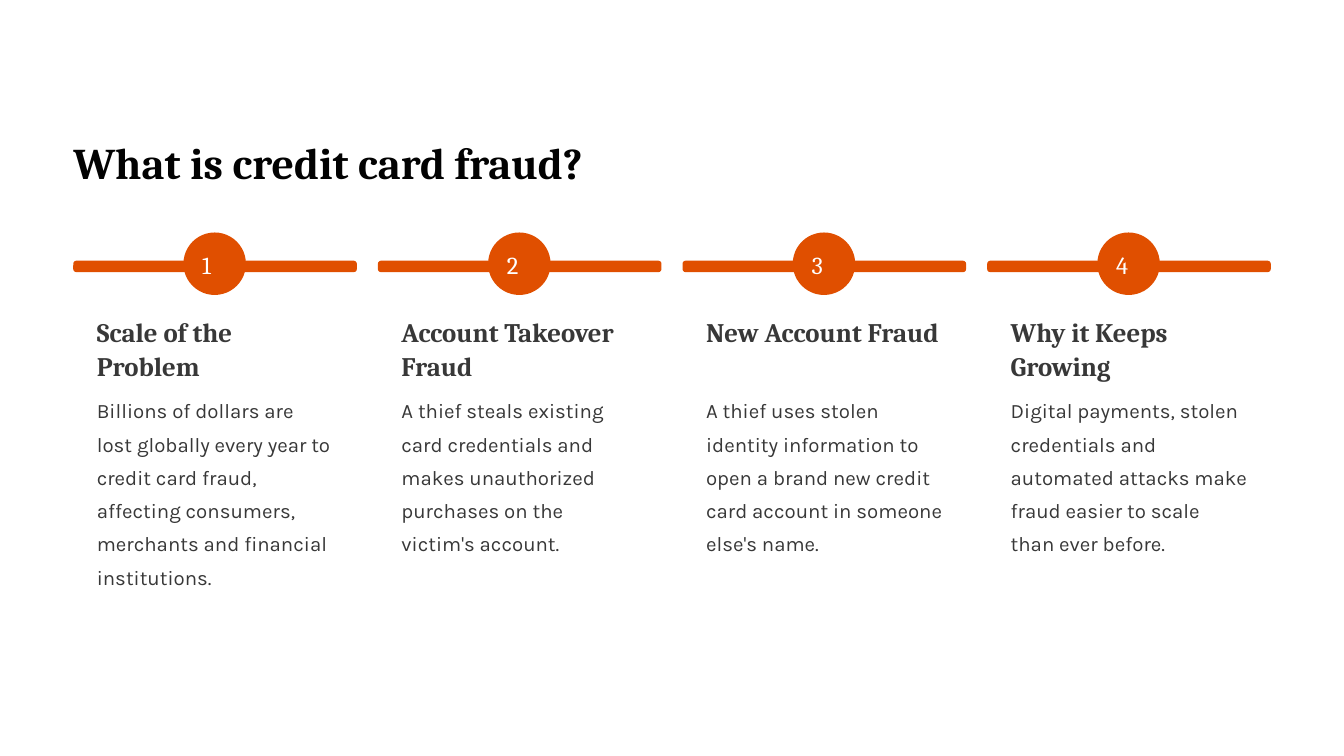
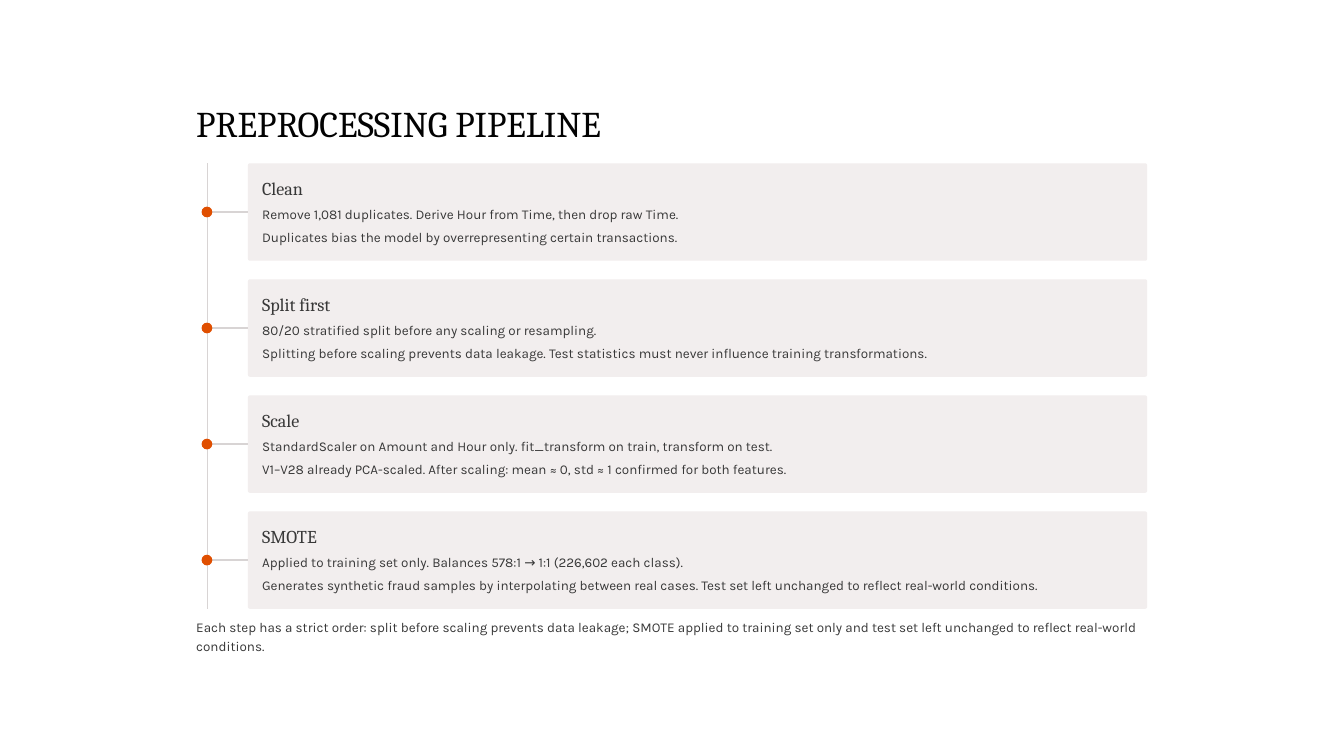
from lxml import etree
from pptx import Presentation
from pptx.dml.color import RGBColor
from pptx.enum.shapes import MSO_CONNECTOR, MSO_SHAPE
from pptx.enum.text import MSO_ANCHOR, MSO_AUTO_SIZE, PP_ALIGN
from pptx.oxml.ns import qn
from pptx.util import Inches, Pt

STRAIGHT = MSO_CONNECTOR.STRAIGHT
OVAL = MSO_SHAPE.OVAL
ROUNDED = MSO_SHAPE.ROUNDED_RECTANGLE
TOP = MSO_ANCHOR.TOP
NO_AUTOFIT = MSO_AUTO_SIZE.NONE
LEFT = PP_ALIGN.LEFT

WHITE = RGBColor(0xFF, 0xFF, 0xFF)
BLACK = RGBColor(0x02, 0x02, 0x02)
DARK_GRAY = RGBColor(0x38, 0x38, 0x38)
LINE_GRAY = RGBColor(0xD8, 0xD4, 0xD4)
CARD_GRAY = RGBColor(0xF2, 0xEE, 0xEE)
ORANGE = RGBColor(0xE0, 0x4F, 0x00)

SERIF = "Cambria"
SANS = "Karla"

FRAUD_TOPICS = [
    ("Scale of the Problem",
     "Billions of dollars are lost globally every year to credit card fraud, "
     "affecting consumers, merchants and financial institutions."),
    ("Account Takeover Fraud",
     "A thief steals existing card credentials and makes unauthorized "
     "purchases on the victim's account."),
    ("New Account Fraud",
     "A thief uses stolen identity information to open a brand new credit "
     "card account in someone else's name."),
    ("Why it Keeps Growing",
     "Digital payments, stolen credentials and automated attacks make fraud "
     "easier to scale than ever before."),
]

PIPELINE_STEPS = [
    ("Clean",
     "Remove 1,081 duplicates. Derive Hour from Time, then drop raw Time.",
     "Duplicates bias the model by overrepresenting certain transactions."),
    ("Split first",
     "80/20 stratified split before any scaling or resampling.",
     "Splitting before scaling prevents data leakage. Test statistics must "
     "never influence training transformations."),
    ("Scale",
     "StandardScaler on Amount and Hour only. fit_transform on train, "
     "transform on test.",
     "V1–V28 already PCA-scaled. After scaling: mean ≈ 0, std ≈ 1 confirmed "
     "for both features."),
    ("SMOTE",
     "Applied to training set only. Balances 578:1 → 1:1 (226,602 each class).",
     "Generates synthetic fraud samples by interpolating between real cases. "
     "Test set left unchanged to reflect real-world conditions."),
]

PIPELINE_NOTE = (
    "Each step has a strict order: split before scaling prevents data leakage; "
    "SMOTE applied to training set only and test set left unchanged to reflect "
    "real-world conditions.")


def spread(start, span, size, count):
    """Return the starts of equal items that fill a span with equal gaps."""
    pitch = (span - size) / (count - 1)
    return [start + index * pitch for index in range(count)]


def write_text(shape, text, *, size, spacing, font=SANS, color=DARK_GRAY, bold=False):
    """Fill a shape with one formatted paragraph without insets."""
    frame = shape.text_frame
    frame.word_wrap = True
    frame.auto_size = NO_AUTOFIT
    frame.vertical_anchor = TOP
    frame.margin_left = frame.margin_right = 0
    frame.margin_top = frame.margin_bottom = 0
    frame.text = text
    paragraph = frame.paragraphs[0]
    paragraph.alignment = LEFT
    paragraph.line_spacing = Pt(spacing)
    run_font = paragraph.runs[0].font
    run_font.name = font
    run_font.size = Pt(size)
    run_font.bold = bold
    run_font.color.rgb = color


def add_text(slide, text, left, top, width, height, **text_format):
    """Add a text box with formatted text."""
    box = slide.shapes.add_textbox(
        Inches(left), Inches(top), Inches(width), Inches(height))
    write_text(box, text, **text_format)


def add_titled_slide(presentation, text, left, top, width, height, **text_format):
    """Add a slide whose title placeholder is placed and formatted."""
    slide = presentation.slides.add_slide(presentation.slide_layouts[5])
    title = slide.shapes.title
    title.left, title.top = Inches(left), Inches(top)
    title.width, title.height = Inches(width), Inches(height)
    write_text(title, text, font=SERIF, color=BLACK, **text_format)
    return slide


def add_block(slide, kind, left, top, width, height, color, rounding=None):
    """Add a flat filled shape without outline."""
    shape = slide.shapes.add_shape(
        kind, Inches(left), Inches(top), Inches(width), Inches(height))
    shape.shadow.inherit = False
    shape.fill.solid()
    shape.fill.fore_color.rgb = color
    shape.line.fill.background()
    if rounding is not None:
        shape.adjustments[0] = rounding
    return shape


def add_line(slide, start_x, start_y, end_x, end_y):
    """Add a thin gray connector without shadow."""
    line = slide.shapes.add_connector(
        STRAIGHT, Inches(start_x), Inches(start_y), Inches(end_x), Inches(end_y))
    line.line.color.rgb = LINE_GRAY
    line.line.width = Pt(1.5)
    etree.SubElement(line._element.spPr, qn("a:effectLst"))
    return line


def add_topic(slide, left, number, heading, description):
    """Add a numbered column with its bar, heading and description."""
    add_block(slide, ROUNDED, left, 3.88, 4.22, 0.17, ORANGE, rounding=0.27)
    add_block(slide, OVAL, left + 1.64, 3.46, 0.93, 0.93, ORANGE)
    add_text(slide, str(number), left + 1.92, 3.57, 0.37, 0.58,
             size=26.2, spacing=42.5, font=SERIF, color=WHITE)
    add_text(slide, heading, left + 0.35, 4.68, 3.52, 1.04,
             size=28.7, spacing=36.2, font=SERIF, bold=True)
    add_text(slide, description, left + 0.35, 5.8, 3.52, 3.08,
             size=21.9, spacing=35.6)


def add_step(slide, top, height, heading, action, reason):
    """Add a pipeline card joined to its dot on the timeline."""
    middle = top + height / 2
    card = add_block(slide, ROUNDED, 3.69, top, 13.38, height, CARD_GRAY, rounding=0.02)
    branch = add_line(slide, 3.08, middle, 3.69, middle)
    branch.end_connect(card, 1)
    add_block(slide, OVAL, 3, middle - 0.08, 0.16, 0.16, ORANGE)
    add_text(slide, heading, 3.9, top + 0.2, 2.69, 0.34,
             size=19.4, spacing=23.8, font=SERIF)
    for offset, sentence in ((0.6, action), (0.95, reason)):
        add_text(slide, sentence, 3.9, top + offset, 12.97, 0.29,
                 size=14.4, spacing=19.4)


def build_fraud_slide(presentation):
    """Build the slide that explains credit card fraud."""
    slide = add_titled_slide(presentation, "What is credit card fraud?",
                             1.09, 2, 8.08, 0.83, size=46.9, spacing=58.1, bold=True)
    lefts = spread(1.09, 17.82, 4.22, len(FRAUD_TOPICS))
    for number, (left, topic) in enumerate(zip(lefts, FRAUD_TOPICS), start=1):
        add_topic(slide, left, number, *topic)


def build_pipeline_slide(presentation):
    """Build the slide with the preprocessing timeline."""
    slide = add_titled_slide(presentation, "PREPROCESSING PIPELINE",
                             2.92, 1.48, 6.68, 0.68, size=38.8, spacing=48.1)
    top, span, card_height = 2.43, 6.63, 1.45
    add_line(slide, 3.09, top, 3.09, top + span)
    for card_top, step in zip(
            spread(top, span, card_height, len(PIPELINE_STEPS)), PIPELINE_STEPS):
        add_step(slide, card_top, card_height, *step)
    add_text(slide, PIPELINE_NOTE, 2.92, 9.19, 14.15, 0.57, size=14.4, spacing=19.4)


def main():
    """Create the presentation and save it."""
    presentation = Presentation()
    presentation.slide_width = Inches(20)
    presentation.slide_height = Inches(11.25)
    build_fraud_slide(presentation)
    build_pipeline_slide(presentation)
    presentation.save("out.pptx")


if __name__ == "__main__":
    main()
